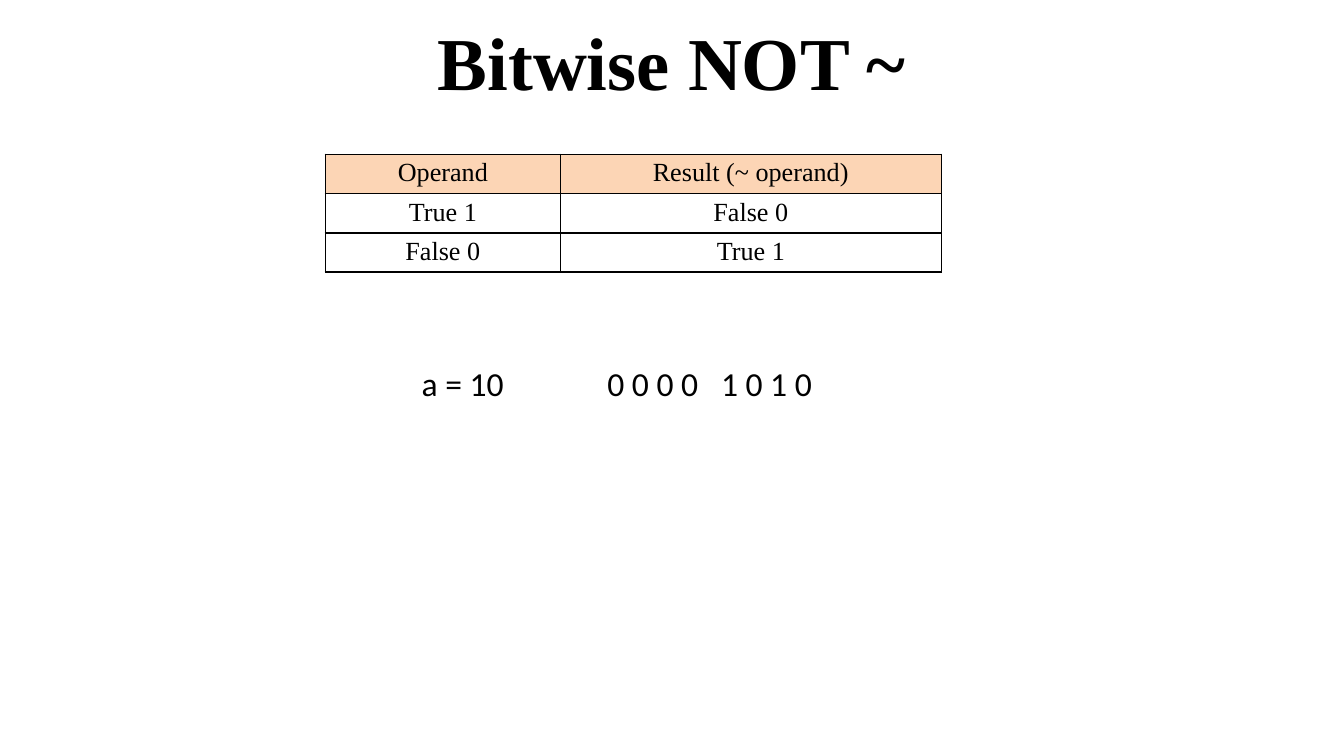
from lxml.etree import SubElement
from pptx import Presentation
from pptx.dml.color import RGBColor
from pptx.enum.text import MSO_ANCHOR, MSO_AUTO_SIZE, PP_ALIGN
from pptx.oxml.ns import qn
from pptx.util import Cm, Pt

BLACK = RGBColor(0x00, 0x00, 0x00)
PEACH = RGBColor(0xFC, 0xD5, 0xB5)
SERIF = "Times New Roman"
SANS = "Calibri"

TITLE = "Bitwise NOT ~"
TRUTH_TABLE = [
    ("Operand", "Result (~ operand)"),
    ("True 1", "False 0"),
    ("False 0", "True 1"),
]
COLUMN_WIDTHS = (4.44, 7.2)
ROW_HEIGHT = 0.74
NIBBLE_GAP = 8.1
EXAMPLE = [
    (7.72, 2.08, [("a = 10", 0)]),
    (11.23, 4.45, [("0 0 0 0", 0), (" ", NIBBLE_GAP), ("1 0 1 0", 0)]),
]


def add_run(paragraph, text, font_name, size, bold=False, spacing=0):
    run = paragraph.add_run()
    run.text = text
    run.font.name = font_name
    run.font.size = Pt(size)
    run.font.bold = bold
    run.font.color.rgb = BLACK
    if spacing:
        run.font._element.set("spc", str(round(spacing * 100)))


def add_borders(cell):
    properties = cell._tc.get_or_add_tcPr()
    for side in ("a:lnL", "a:lnR", "a:lnT", "a:lnB"):
        line = SubElement(properties, qn(side), w=str(Pt(1)))
        fill = SubElement(line, qn("a:solidFill"))
        SubElement(fill, qn("a:srgbClr"), val=str(BLACK))


def fill_cell(cell, text, is_header):
    cell.margin_left = cell.margin_right = Cm(0.25)
    cell.margin_top = cell.margin_bottom = Cm(0.08)
    add_borders(cell)
    if is_header:
        cell.fill.solid()
        cell.fill.fore_color.rgb = PEACH
    else:
        cell.fill.background()
    paragraph = cell.text_frame.paragraphs[0]
    paragraph.alignment = PP_ALIGN.CENTER
    add_run(paragraph, text, SERIF, 14)


def add_title(slide):
    title = slide.shapes.title
    title.left, title.top = Cm(1.27), Cm(-0.05)
    title.width, title.height = Cm(22.86), Cm(2.39)
    title.text_frame.vertical_anchor = MSO_ANCHOR.MIDDLE
    paragraph = title.text_frame.paragraphs[0]
    paragraph.alignment = PP_ALIGN.CENTER
    add_run(paragraph, TITLE, SERIF, 40, bold=True)


def add_truth_table(slide):
    table = slide.shapes.add_table(
        len(TRUTH_TABLE), len(COLUMN_WIDTHS), Cm(6.15), Cm(2.92),
        Cm(sum(COLUMN_WIDTHS)), Cm(ROW_HEIGHT * len(TRUTH_TABLE)),
    ).table
    table.first_row = table.horz_banding = False
    for column, width in zip(table.columns, COLUMN_WIDTHS):
        column.width = Cm(width)
    for row_index, texts in enumerate(TRUTH_TABLE):
        table.rows[row_index].height = Cm(ROW_HEIGHT)
        for column_index, text in enumerate(texts):
            fill_cell(table.cell(row_index, column_index), text, row_index == 0)


def add_example(slide):
    for left, width, runs in EXAMPLE:
        box = slide.shapes.add_textbox(Cm(left), Cm(6.73), Cm(width), Cm(1.02))
        box.text_frame.word_wrap = False
        box.text_frame.auto_size = MSO_AUTO_SIZE.SHAPE_TO_FIT_TEXT
        for text, spacing in runs:
            add_run(box.text_frame.paragraphs[0], text, SANS, 18, spacing=spacing)


def main():
    presentation = Presentation()
    presentation.slide_width = Cm(25.4)
    presentation.slide_height = Cm(14.29)
    slide = presentation.slides.add_slide(presentation.slide_layouts[5])
    add_title(slide)
    add_truth_table(slide)
    add_example(slide)
    presentation.save("out.pptx")


if __name__ == "__main__":
    main()
